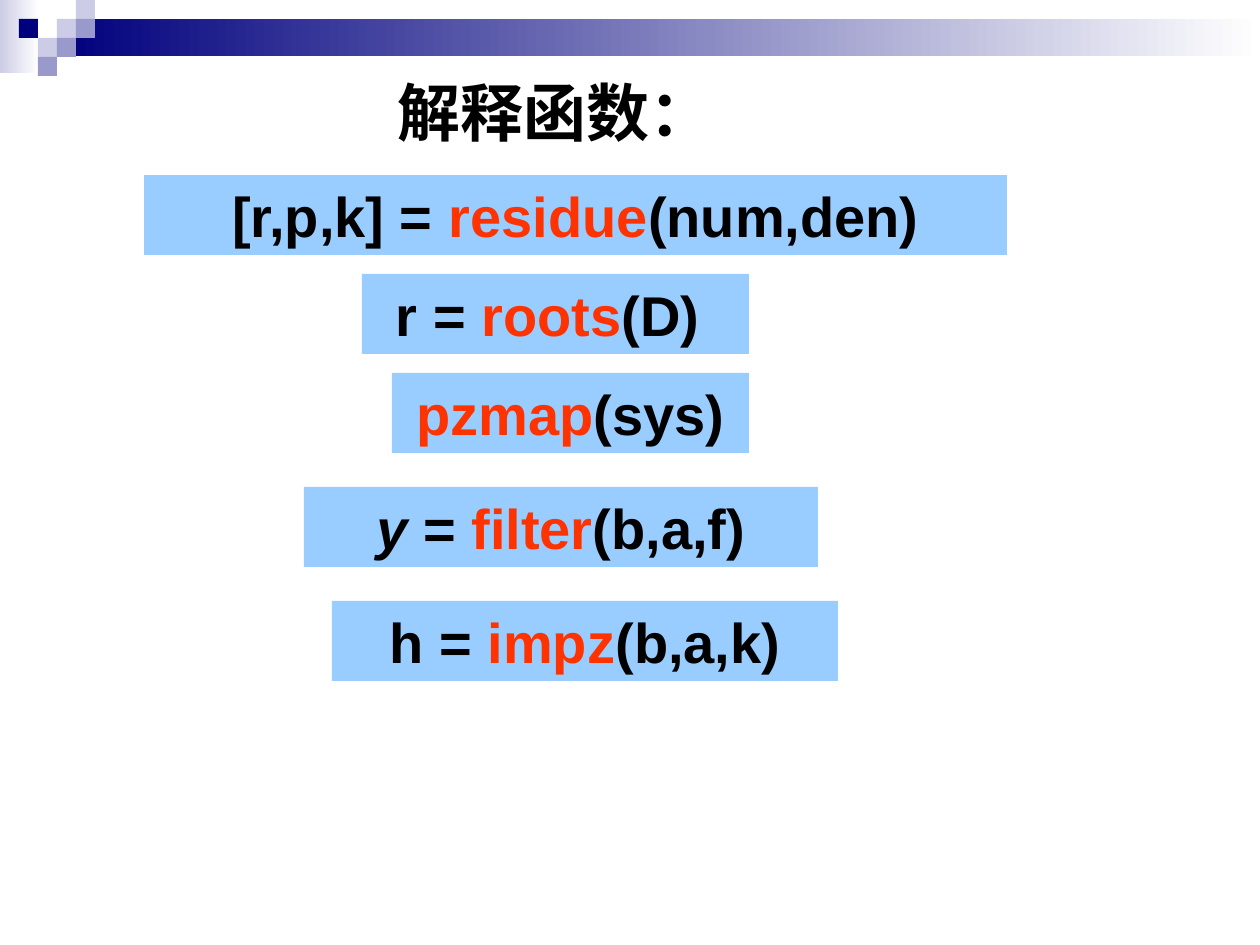
"""Build a slide that lists five signal-processing function calls."""
from pptx import Presentation, util as u
from pptx.dml.color import RGBColor
from pptx.enum import shapes, text

HUES = {"navy": "00007D", "mid": "9999CC", "pale": "CCCCE6", "white": "FFFFFF",
        "box": "99CCFF", "name": "FF3300", "ink": "000000"}
TITLE = "解释函数："
TITLE_BOX = (213, 67, 684, 88)
CALLS = [
    ((144, 175, 863), "", "[r,p,k] = ", "residue", "(num,den)"),
    ((362, 274, 387), "", "r = ", "roots", "(D) "),
    ((392, 373, 357), "", "", "pzmap", "(sys)"),
    ((304, 487, 514), "y ", "= ", "filter", "(b,a,f)"),
    ((332, 601, 506), "", "h = ", "impz", "(b,a,k)"),
]
BANDS = [((0, 0, 39, 73), "pale"), ((57, 19, 1203, 37), "navy")]
TILES = [(3, 1, "pale"), (4, 0, "pale"), (4, 1, "mid"), (2, 2, "pale"),
         (1, 1, "navy"), (3, 2, "mid"), (2, 3, "mid")]
TILE = 19
BOX_H = 80


def px(num):
    return u.Emu(round(num * 914400 / 126))


def hue(key):
    return RGBColor.from_string(HUES[key])


def add_rect(slide, box, fill, fade=False):
    rect = slide.shapes.add_shape(shapes.MSO_SHAPE.RECTANGLE, *map(px, box))
    rect.shadow.inherit = False
    rect.line.fill.background()
    if fade:
        rect.fill.gradient()
        rect.fill.gradient_angle = 0
        for stop, key in zip(rect.fill.gradient_stops, (fill, "white")):
            stop.color.rgb = hue(key)
    else:
        rect.fill.solid()
        rect.fill.fore_color.rgb = hue(fill)
    return rect


def set_text(shape, runs, face, size, gap):
    frame = shape.text_frame
    frame.word_wrap = True
    frame.auto_size = text.MSO_AUTO_SIZE.NONE
    frame.vertical_anchor = text.MSO_ANCHOR.TOP
    para = frame.paragraphs[0]
    para.alignment = text.PP_ALIGN.CENTER
    para.space_before = u.Pt(gap)
    para.font.name, para.font.size, para.font.bold = face, u.Pt(size), True
    for words, key, slant in runs:
        if words:
            run = para.add_run()
            run.text = words
            run.font.color.rgb = hue(key)
            run.font.name, run.font.size, run.font.bold = face, u.Pt(size), True
            run.font.italic = slant


def main():
    deck = Presentation()
    deck.slide_width, deck.slide_height = px(1260), px(945)
    slide = deck.slides.add_slide(deck.slide_layouts[5])

    for box, key in BANDS:
        add_rect(slide, box, key, fade=True)
    for col, row, key in TILES:
        add_rect(slide, (col * TILE, row * TILE, TILE, TILE), key)

    for place, var, lead, name, args in CALLS:
        runs = [(var, "ink", True), (lead, "ink", False),
                (name, "name", False), (args, "ink", False)]
        set_text(add_rect(slide, (*place, BOX_H), "box"), runs, "Arial", 32, 20)

    title = slide.shapes.title
    title.left, title.top, title.width, title.height = map(px, TITLE_BOX)
    set_text(title, [(TITLE, "ink", False)], "Times New Roman", 36, 22.5)
    deck.save("out.pptx")


if __name__ == "__main__":
    main()
